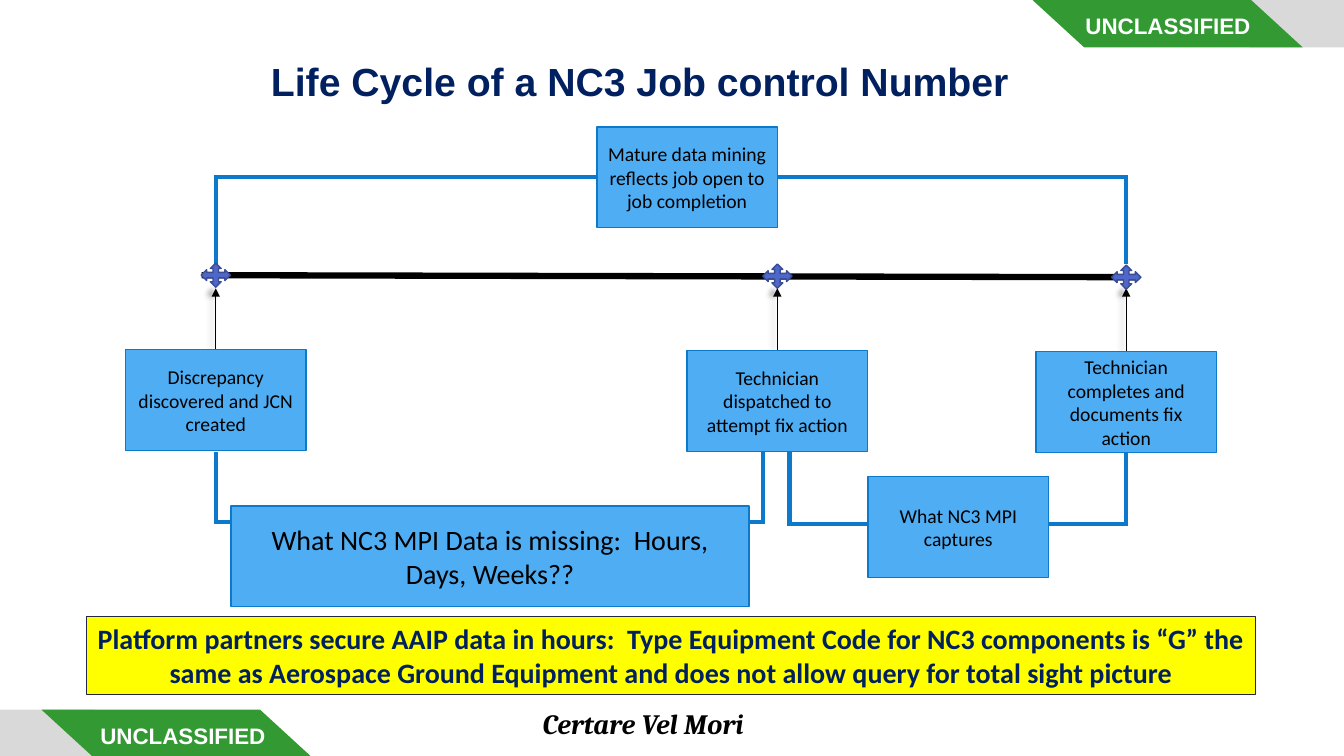
import pptx
import pptx.util
import pptx.dml.color
import pptx.enum.shapes
import pptx.enum.text
import pptx.oxml
import pptx.oxml.ns
from lxml import etree

RGBColor = pptx.dml.color.RGBColor
Inches = pptx.util.Inches
Shape = pptx.enum.shapes.MSO_SHAPE
Anchor = pptx.enum.text.MSO_ANCHOR
qn = pptx.oxml.ns.qn

BLACK = RGBColor(0x00, 0x00, 0x00)
WHITE = RGBColor(0xFF, 0xFF, 0xFF)
GREY = RGBColor(0xD9, 0xD9, 0xD9)
GREEN = RGBColor(0x33, 0x99, 0x33)
NAVY = RGBColor(0x00, 0x20, 0x60)
YELLOW = RGBColor(0xFF, 0xFF, 0x00)
YELLOW_EDGE = RGBColor(0x21, 0x27, 0x45)
SKY = RGBColor(0x4F, 0xAD, 0xF3)
BLUE = RGBColor(0x0D, 0x79, 0xCA)
INDIGO = RGBColor(0x4E, 0x67, 0xC8)
INDIGO_EDGE = RGBColor(0x3A, 0x4C, 0x94)

ARROW_SHADOW = (
    '<a:effectLst %s><a:outerShdw blurRad="50800" dist="38100" dir="10800000">'
    '<a:srgbClr val="000000"><a:alpha val="40000"/></a:srgbClr>'
    '</a:outerShdw></a:effectLst>' % pptx.oxml.ns.nsdecls("a"))

# Columns and rows of the diagram, in inches
FOUND, SENT, FIXED = 2.14, 7.71, 11.17
TOP_RAIL, TIMELINE, STEP_ROW, LOW_RAIL = 1.76, 2.74, 3.48, 5.2
STEP_WIDTH, STEP_HEIGHT = 1.79, 1.0
MARK_WIDTH, MARK_HEIGHT = 0.29, 0.24
BANNER_HEIGHT = 0.47

deck = pptx.Presentation()
deck.slide_width, deck.slide_height = Inches(13.33), Inches(7.5)
page = deck.slides.add_slide(deck.slide_layouts[5])


def add_block(kind, place, fill, edge=None, edge_width=1, text="", size=14,
              font="Calibri", color=BLACK, bold=None, italic=None,
              anchor=Anchor.MIDDLE):
    """Add a filled preset shape at (left, top, width, height) with centred text."""
    block = page.shapes.add_shape(kind, *[Inches(length) for length in place])
    block.shadow.inherit = False
    if fill is None:
        block.fill.background()
    else:
        block.fill.solid()
        block.fill.fore_color.rgb = fill
    if edge is None:
        block.line.fill.background()
    else:
        block.line.color.rgb = edge
        block.line.width = pptx.util.Pt(edge_width)
    if text:
        block.text_frame.word_wrap = True
        block.text_frame.vertical_anchor = anchor
        para = block.text_frame.paragraphs[0]
        para.alignment = pptx.enum.text.PP_ALIGN.CENTER
        span = para.add_run()
        span.text = text
        span.font.name, span.font.size = font, pptx.util.Pt(size)
        span.font.bold, span.font.italic = bold, italic
        span.font.color.rgb = color
    return block


def add_line(start, end, color, width, arrow=False):
    line = page.shapes.add_connector(
        pptx.enum.shapes.MSO_CONNECTOR.STRAIGHT,
        *[Inches(length) for length in start + end])
    line.line.color.rgb = color
    line.line.width = pptx.util.Pt(width)
    properties = line._element.spPr
    if arrow:
        etree.SubElement(line.line._get_or_add_ln(), qn("a:tailEnd"), type="triangle")
        properties.append(pptx.oxml.parse_xml(ARROW_SHADOW))
    else:
        etree.SubElement(properties, qn("a:effectLst"))


# Title
title = page.shapes.title
title.left, title.top, title.width, title.height = [
    Inches(length) for length in (2.14, 0.11, 8.41, 1.45)]
title.text_frame.word_wrap = True
title.text_frame.vertical_anchor = Anchor.MIDDLE
para = title.text_frame.paragraphs[0]
para.alignment = pptx.enum.text.PP_ALIGN.CENTER
para.line_spacing = 0.9
span = para.add_run()
span.text = "Life Cycle of a NC3 Job control Number"
span.font.name, span.font.size, span.font.bold = "Arial", pptx.util.Pt(28), True
span.font.color.rgb = NAVY

# Motto and classification banners
add_block(Shape.RECTANGLE, (4.6, 6.96, 3.56, 0.44), WHITE, text="Certare Vel Mori",
          size=20, font="Cambria", bold=True, italic=True, anchor=Anchor.TOP)
for top, grey_left, green_left, label_place in (
        (0, 12.39, 10.24, (10.55, 0.07, 2.07, 0.45)),
        (7.04, 0, 0.41, (0.75, 7.11, 2.13, 0.45))):
    add_block(Shape.RECTANGLE, (grey_left, top, 0.94, BANNER_HEIGHT), GREY)
    ribbon = add_block(Shape.PARALLELOGRAM,
                       (green_left, top, 2.68, BANNER_HEIGHT), GREEN)
    ribbon.adjustments[0] = 1.09
    ribbon.rotation = 180
    ribbon._element.spPr.find(qn("a:xfrm")).set("flipV", "1")
    add_block(Shape.RECTANGLE, label_place, None, text="UNCLASSIFIED", size=16,
              font="Arial", color=WHITE, bold=True, anchor=Anchor.TOP)

# Brackets: left column, right column, rail row, row where the legs end
for left, right, rail, leg_end in (
        (FOUND, FIXED, TOP_RAIL, TIMELINE - MARK_HEIGHT / 2),
        (FOUND, SENT - 0.14, LOW_RAIL - 0.02, STEP_ROW + STEP_HEIGHT),
        (SENT + 0.12, FIXED, LOW_RAIL, STEP_ROW + STEP_HEIGHT)):
    add_line((left - 0.02, rail), (right + 0.02, rail), BLUE, 3)
    for column in (left, right):
        add_line((column, rail), (column, leg_end), BLUE, 3)

# Timeline with its steps
add_line((2, TIMELINE - 0.01), (11.26, TIMELINE + 0.01), BLACK, 4.5)
for column, drop, step in (
        (FOUND, -0.01, "Discrepancy discovered and JCN created"),
        (SENT, 0, "Technician dispatched to attempt fix action"),
        (FIXED, 0.01, "Technician completes and documents fix action")):
    add_line((column, STEP_ROW + drop), (column, TIMELINE + MARK_HEIGHT / 2),
             BLACK, 0.5, arrow=True)
    add_block(Shape.RECTANGLE,
              (column - STEP_WIDTH / 2, STEP_ROW + drop, STEP_WIDTH, STEP_HEIGHT),
              SKY, BLUE, text=step)
    add_block(Shape.QUAD_ARROW,
              (column - MARK_WIDTH / 2, TIMELINE - MARK_HEIGHT / 2 + drop,
               MARK_WIDTH, MARK_HEIGHT), INDIGO, INDIGO_EDGE)

# Bracket labels
for left, top, width, size, label in (
        (5.92, 1.26, STEP_WIDTH, 14,
         "Mature data mining reflects job open to job completion"),
        (2.29, 5.02, 5.14, 20, "What NC3 MPI Data is missing:  Hours, Days, Weeks??"),
        (8.61, 4.73, STEP_WIDTH, 14, "What NC3 MPI captures")):
    add_block(Shape.RECTANGLE, (left, top, width, STEP_HEIGHT), SKY, BLUE,
              text=label, size=size)

# Conclusion
add_block(Shape.RECTANGLE, (0.86, 6.12, 11.59, 0.77), YELLOW, YELLOW_EDGE, 0.75,
          text="Platform partners secure AAIP data in hours:  Type Equipment Code "
               "for NC3 components is “G” the same as Aerospace Ground Equipment "
               "and does not allow query for total sight picture",
          size=20, color=NAVY, bold=True, anchor=Anchor.TOP)

deck.save("out.pptx")
